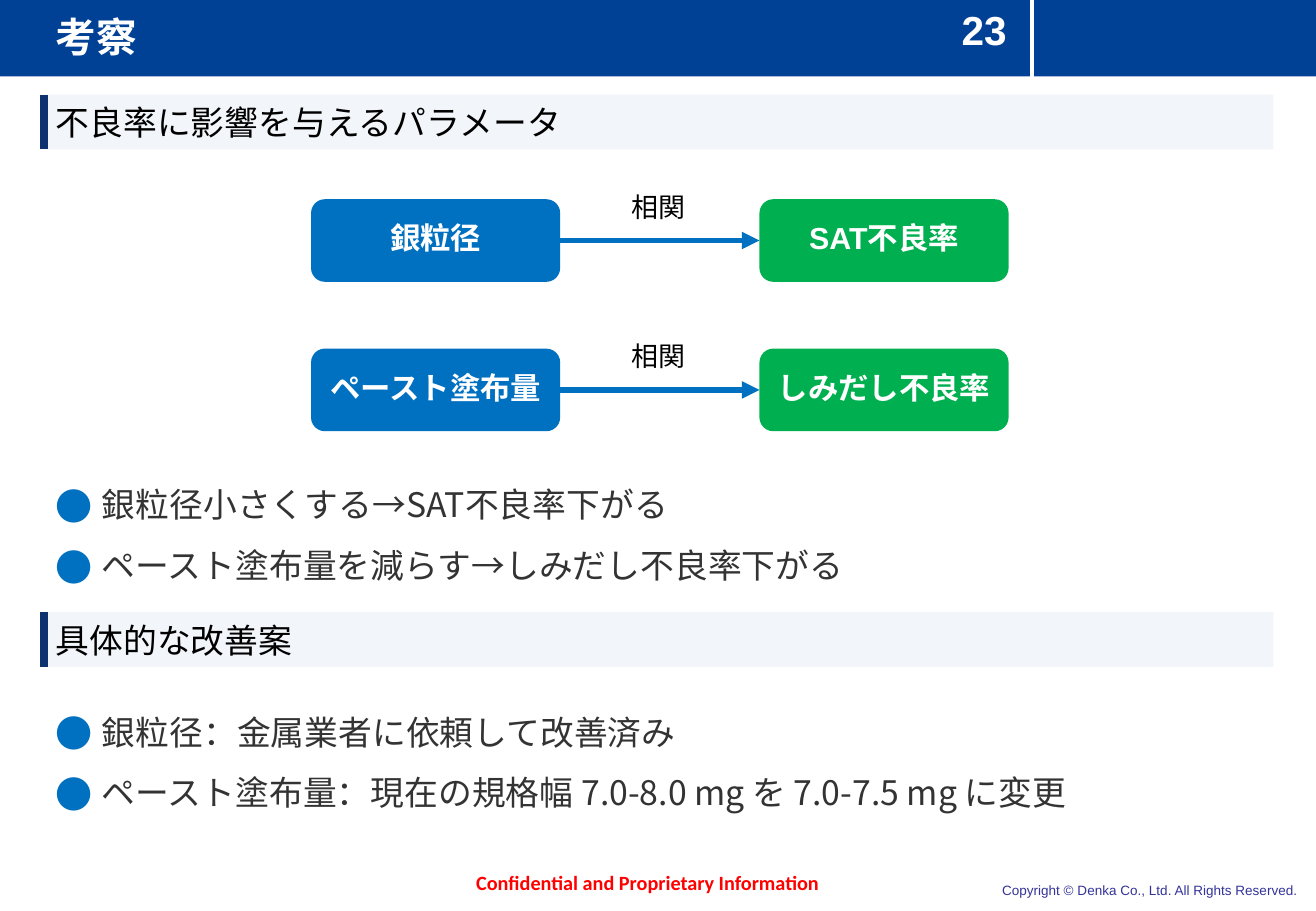
from lxml import etree
from pptx import Presentation
from pptx.dml.color import RGBColor
from pptx.enum.shapes import MSO_CONNECTOR, MSO_SHAPE
from pptx.enum.text import MSO_ANCHOR, MSO_AUTO_SIZE, PP_ALIGN
from pptx.oxml.ns import qn
from pptx.util import Inches, Pt

RECT, ROUNDED = MSO_SHAPE.RECTANGLE, MSO_SHAPE.ROUNDED_RECTANGLE
STRAIGHT = MSO_CONNECTOR.STRAIGHT
TOP, MIDDLE = MSO_ANCHOR.TOP, MSO_ANCHOR.MIDDLE
LEFT, CENTER, RIGHT = PP_ALIGN.LEFT, PP_ALIGN.CENTER, PP_ALIGN.RIGHT
NO_AUTOFIT = MSO_AUTO_SIZE.NONE
CJK = "Noto Sans CJK JP"
BLUE, GREEN, WHITE, BLACK = "0070C0", "00B050", "FFFFFF", "000000"


def write(shape, lines, size, color, font="Arial", bold=False, align=LEFT,
          anchor=TOP, spacing=1.0, inset=None, bullet=None):
    frame = shape.text_frame
    frame.text = "\n".join(lines)
    settings = {"word_wrap": True, "auto_size": NO_AUTOFIT, "vertical_anchor": anchor}
    if inset is not None:
        settings.update({f"margin_{side}": inset for side in ("left", "top", "right", "bottom")})
    for name, value in settings.items():
        setattr(frame, name, value)
    for paragraph in frame.paragraphs:
        paragraph.alignment = align
        paragraph.line_spacing = spacing
        if bullet:
            properties = paragraph.runs[0].font and paragraph._p.get_or_add_pPr()
            properties.set("marL", str(Inches(0.38)))
            properties.set("indent", str(-Inches(0.38)))
            bullet_color = etree.SubElement(properties, qn("a:buClr"))
            etree.SubElement(bullet_color, qn("a:srgbClr"), val=BLUE)
            etree.SubElement(properties, qn("a:buSzPct"), val="110000")
            etree.SubElement(properties, qn("a:buFont"), typeface=font)
            etree.SubElement(properties, qn("a:buChar"), char=bullet)
        for run in paragraph.runs:
            for name, value in {"size": Pt(size), "bold": bold, "name": font}.items():
                setattr(run.font, name, value)
            run.font.color.rgb = RGBColor.from_string(color)
            etree.SubElement(run.font._element, qn("a:ea"), typeface=CJK)


def paint(part, color, width=None):
    if width is None:
        part.shadow.inherit = False
        part.fill.solid()
        part.fill.fore_color.rgb = RGBColor.from_string(color)
        part.line.fill.background()
    else:
        part.line.color.rgb = RGBColor.from_string(color)
        part.line.width = Pt(width)
        etree.SubElement(part.element.spPr, qn("a:effectLst"))


presentation = Presentation()
presentation.slide_width = Inches(10.83)
presentation.slide_height = Inches(7.5)
slide = presentation.slides.add_slide(presentation.slide_layouts[5])
shapes = slide.shapes

header_band = shapes.add_shape(RECT, Inches(-0.01), Inches(-0.03), Inches(10.84), Inches(0.66))
paint(header_band, "004196")
header_divider = shapes.add_connector(STRAIGHT, Inches(8.49), Inches(-0.03), Inches(8.49), Inches(0.72))
paint(header_divider, WHITE, 2.25)

title = shapes.title
header_divider.element.addnext(title.element)
title_place = {"left": 0.36, "top": -0.03, "width": 7.41, "height": 0.66}
for name, value in title_place.items():
    setattr(title, name, Inches(value))
write(title, ["考察"], 24, WHITE, bold=True, anchor=MIDDLE)

for top, heading in ((0.78, "不良率に影響を与えるパラメータ"), (5.04, "具体的な改善案")):
    heading_band = shapes.add_shape(RECT, Inches(0.36), Inches(top), Inches(10.12), Inches(0.45))
    paint(heading_band, "F2F5F9")
    write(heading_band, [heading], 20, BLACK, CJK, anchor=MIDDLE)
    heading_accent = shapes.add_connector(STRAIGHT, Inches(0.36), Inches(top), Inches(0.36), Inches(top + 0.45))
    paint(heading_accent, "0E326F", 5)

correlations = [("銀粒径", "SAT不良率"), ("ペースト塗布量", "しみだし不良率")]
for row, (cause, effect) in enumerate(correlations):
    top = 1.64 + 1.23 * row
    ends = []
    for left, label, color in ((2.56, cause, BLUE), (6.25, effect, GREEN)):
        factor = shapes.add_shape(ROUNDED, Inches(left), Inches(top), Inches(2.05), Inches(0.68))
        paint(factor, color)
        write(factor, [label], 18, WHITE, bold=True, align=CENTER, anchor=MIDDLE, spacing=0.85, inset=0)
        ends.append(factor)
    arrow = shapes.add_connector(STRAIGHT, Inches(4.61), Inches(top + 0.34), Inches(6.25), Inches(top + 0.34))
    arrow.begin_connect(ends[0], 3)
    arrow.end_connect(ends[1], 1)
    paint(arrow, BLUE, 3.5)
    etree.SubElement(arrow.line._get_or_add_ln(), qn("a:tailEnd"), type="triangle")

bulleted = {"size": 20, "color": "333333", "font": CJK, "spacing": 1.5, "bullet": "●"}
correlation_label = {"size": 16, "color": BLACK, "align": CENTER}
texts = [
    (7.77, -0.01, 0.66, 0.63, ["23"], {"size": 24, "color": WHITE, "bold": True, "align": CENTER}),
    (4.92, 1.52, 0.99, 0.37, ["相関"], correlation_label),
    (4.92, 2.75, 0.99, 0.37, ["相関"], correlation_label),
    (0.36, 3.77, 9.45, 1.03,
     ["銀粒径小さくする→SAT不良率下がる", "ペースト塗布量を減らす→しみだし不良率下がる"], bulleted),
    (0.36, 5.64, 9.45, 1.03,
     ["銀粒径：金属業者に依頼して改善済み",
      "ペースト塗布量：現在の規格幅 7.0-8.0 mg を 7.0-7.5 mg に変更"], bulleted),
    (3.82, 7.13, 3.19, 0.3, ["Confidential and Proprietary Information"],
     {"size": 12, "color": "FF0000", "font": "Calibri", "bold": True, "anchor": MIDDLE, "spacing": 0.85}),
    (7.31, 7.21, 3.47, 0.24, ["Copyright © Denka Co., Ltd. All Rights Reserved."],
     {"size": 8, "color": "333399", "align": RIGHT}),
]
for left, top, width, height, lines, style in texts:
    box = shapes.add_textbox(Inches(left), Inches(top), Inches(width), Inches(height))
    write(box, lines, **style)

presentation.save("out.pptx")
